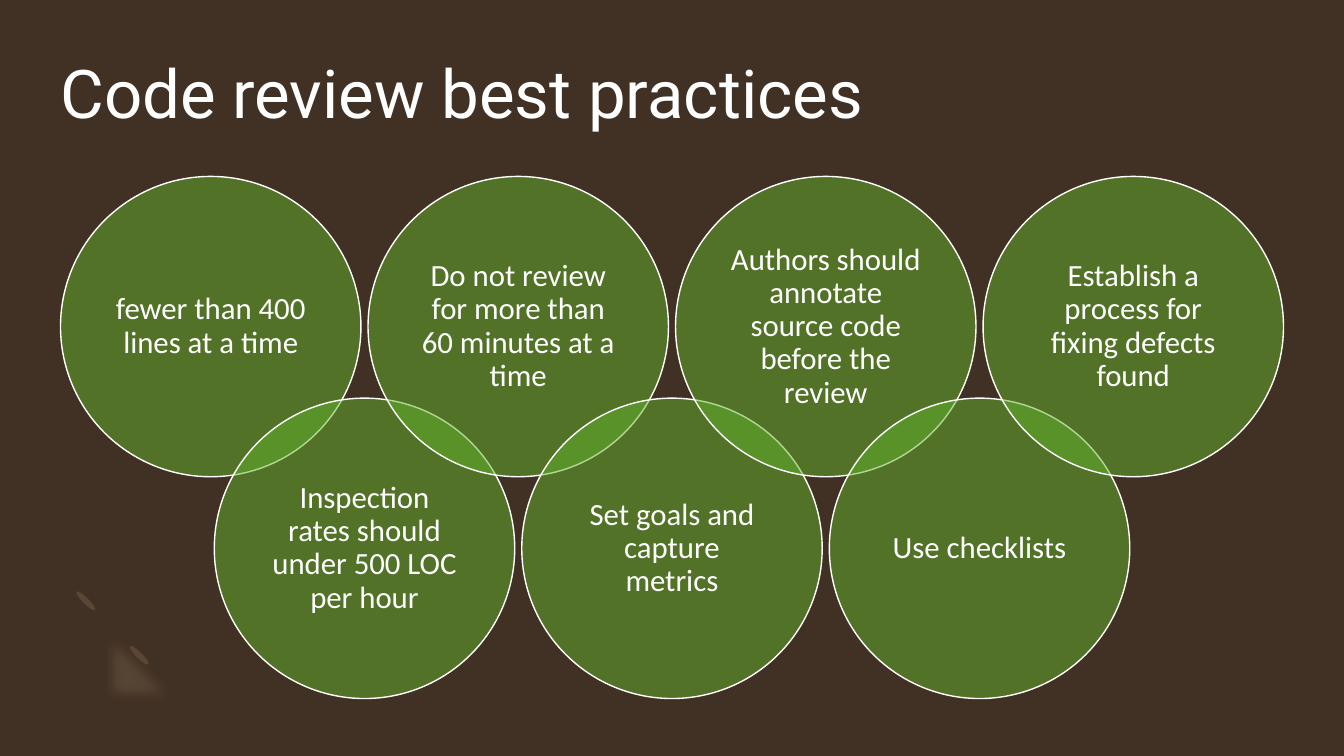
from lxml import etree
from pptx import Presentation
from pptx.dml.color import RGBColor
from pptx.enum import shapes, text
from pptx.oxml import ns
from pptx.util import Inches, Pt

BACK, GREEN, WHITE = "413124", "63B32C", "FFFFFF"
TIPS = [
    "fewer than 400 lines at a time",
    "Inspection rates should under 500 LOC per hour",
    "Do not review for more than 60 minutes at a time",
    "Set goals and capture metrics",
    "Authors should annotate source code before the review",
    "Use checklists",
    "Establish a process for fixing defects found",
]
START = (0.76, 6.59)
EDGES = [
    [(0.56, 6.39), (0.58, 6.05), (0.81, 5.82)],
    [(0.99, 6)],
    [(0.87, 6.11), (0.86, 6.29), (0.96, 6.38)],
    [(1.06, 6.48), (1.23, 6.47), (1.35, 6.36)],
    [(1.52, 6.54)],
    [(1.3, 6.76), (0.95, 6.79), (0.76, 6.59)],
]


def paint(fill, color, alpha=100):
    fill.solid()
    fill.fore_color.rgb = RGBColor.from_string(color)
    if alpha < 100:
        tone = fill._xPr.find(ns.qn("a:solidFill"))[0]
        etree.SubElement(tone, ns.qn("a:alpha"), val=str(alpha * 1000))


def write(frame, words, face, size, align, anchor, inset):
    frame.word_wrap = True
    frame.auto_size = text.MSO_AUTO_SIZE.NONE
    frame.vertical_anchor = anchor
    frame.margin_left = frame.margin_right = Inches(inset)
    frame.margin_top = frame.margin_bottom = Inches(inset)
    para = frame.paragraphs[0]
    para.alignment = align
    para.line_spacing = 0.9
    run = para.add_run()
    run.text = words
    run.font.name = face
    run.font.size = Pt(size)
    paint(run.font.fill, WHITE)


def add_oval(slide, left, top, wide, high, color, alpha=100):
    oval = slide.shapes.add_shape(
        shapes.MSO_SHAPE.OVAL, Inches(left), Inches(top), Inches(wide), Inches(high))
    oval.shadow.inherit = False
    paint(oval.fill, color, alpha)
    oval.line.fill.background()
    return oval


def add_leaf(slide, left, top):
    leaf = add_oval(slide, left, top, 0.06, 0.26, "5B4533")
    leaf.rotation = 135


def curve(ends, steps=12):
    if len(ends) == 2:
        return ends[1:]
    spots = []
    for step in range(1, steps + 1):
        t = step / steps
        parts = ((1 - t) ** 3, 3 * t * (1 - t) ** 2, 3 * t * t * (1 - t), t ** 3)
        spots.append(tuple(sum(w * end[k] for w, end in zip(parts, ends)) for k in (0, 1)))
    return spots


def add_arc(slide):
    spots, last = [], START
    for edge in EDGES:
        spots += curve([last] + edge)
        last = edge[-1]
    pen = slide.shapes.build_freeform(*START, scale=Inches(1))
    pen.add_line_segments(spots, close=True)
    arc = pen.convert_to_shape()
    arc.shadow.inherit = False
    paint(arc.fill, "B6967B", 20)
    arc.line.fill.background()
    effects = arc._element.spPr.find(ns.qn("a:effectLst"))
    etree.SubElement(effects, ns.qn("a:softEdge"), rad="112500")


def add_title(slide, words):
    title = slide.shapes.title
    title.left, title.top = Inches(0.6), Inches(0.6)
    title.width, title.height = Inches(12.13), Inches(1.46)
    write(title.text_frame, words, "Roboto", 48,
          text.PP_ALIGN.LEFT, text.MSO_ANCHOR.TOP, 0)


def add_tip(slide, index, words):
    left, top = 0.6 + 3.05 * index / 2, 1.75 + 2.2 * (index % 2)
    tip = add_oval(slide, left, top, 2.98, 2.98, GREEN, 50)
    paint(tip.line.fill, WHITE)
    tip.line.width = Pt(1)
    write(tip.text_frame, words, "Calibri", 22,
          text.PP_ALIGN.CENTER, text.MSO_ANCHOR.MIDDLE, 0.09)


def main():
    deck = Presentation()
    deck.slide_width, deck.slide_height = Inches(13.33), Inches(7.5)
    slide = deck.slides.add_slide(deck.slide_layouts[5])
    paint(slide.background.fill, BACK)
    add_leaf(slide, 1.35, 6.37)
    add_leaf(slide, 0.82, 5.83)
    add_arc(slide)
    add_title(slide, "Code review best practices")
    for index, words in enumerate(TIPS):
        add_tip(slide, index, words)
    deck.save("out.pptx")


main()
